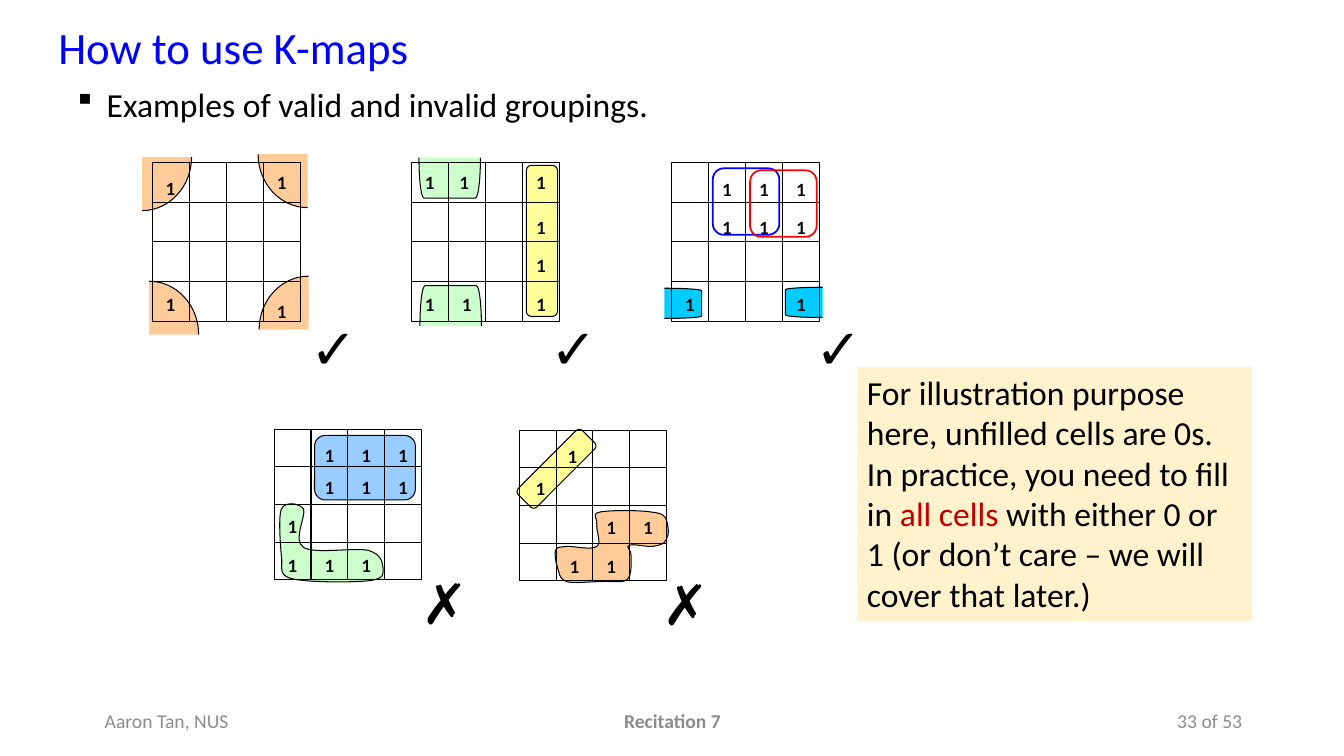
from copy import deepcopy

from lxml import etree
from pptx import Presentation
from pptx.dml.color import RGBColor
from pptx.enum import shapes, text
from pptx.oxml import ns
from pptx.util import Inches, Pt

COLORS = {
    "black": "000000", "blue": "0000FF", "red": "FF0000", "dark_red": "C00000",
    "gray": "8C8C8C", "cream": "FFF2CC", "yellow": "FFFF99", "green": "CCFFCC",
    "orange": "FFCC99", "sky": "99CCFF", "cyan": "00CCFF",
}
SHAPE = shapes.MSO_SHAPE
ALIGN = text.PP_ALIGN
CORNER_W, CORNER_H = 0.49, 0.53

ELBOW = [
    (3.67, 5.76), (3.52, 5.78), (3.04, 5.78), (2.89, 5.74), (2.75, 5.7), (2.81, 5.63),
    (2.79, 5.51), (2.78, 5.4), (2.76, 5.13), (2.79, 5.05), (2.83, 4.97), (2.97, 4.99),
    (3.01, 5.05), (3.04, 5.11), (2.9, 5.36), (3.01, 5.43), (3.11, 5.5), (3.52, 5.43),
    (3.65, 5.46), (3.79, 5.5), (3.79, 5.58), (3.8, 5.64), (3.8, 5.69), (3.82, 5.74),
    (3.67, 5.76),
]
ZIGZAG = [
    (6.46, 5.08), (6.35, 5.06), (6.04, 5.06), (5.95, 5.08), (5.86, 5.1), (5.93, 5.14),
    (5.92, 5.2), (5.91, 5.26), (5.97, 5.39), (5.92, 5.42), (5.87, 5.46), (5.7, 5.42),
    (5.63, 5.42), (5.56, 5.43), (5.53, 5.42), (5.51, 5.46), (5.5, 5.49), (5.51, 5.58),
    (5.53, 5.63), (5.55, 5.68), (5.54, 5.74), (5.62, 5.77), (5.69, 5.79), (5.85, 5.77),
    (5.95, 5.77), (6.05, 5.76), (6.17, 5.79), (6.22, 5.75), (6.27, 5.71), (6.26, 5.57),
    (6.26, 5.51), (6.26, 5.45), (6.2, 5.42), (6.24, 5.41), (6.28, 5.39), (6.42, 5.43),
    (6.48, 5.42), (6.54, 5.41), (6.59, 5.4), (6.61, 5.35), (6.64, 5.31), (6.63, 5.21),
    (6.61, 5.16), (6.6, 5.12), (6.57, 5.09), (6.46, 5.08),
]


def rgb(name):
    return RGBColor.from_string(COLORS[name])


def paint(sp, fill=None, line="black", width=0.75):
    sp.shadow.inherit = False
    if fill:
        sp.fill.solid()
        sp.fill.fore_color.rgb = rgb(fill)
    else:
        sp.fill.background()
    if line:
        sp.line.color.rgb = rgb(line)
        sp.line.width = Pt(width)
    else:
        sp.line.fill.background()
    return sp


def add_shape(s, kind, box, fill=None, line="black", width=0.75, adj=None, rotation=0):
    sp = s.shapes.add_shape(kind, *map(Inches, box))
    if adj is not None:
        sp.adjustments[0] = adj
    sp.rotation = rotation
    return paint(sp, fill, line, width)


def add_line(s, x1, y1, x2, y2):
    line = s.shapes.add_connector(shapes.MSO_CONNECTOR.STRAIGHT, *map(Inches, (x1, y1, x2, y2)))
    line.line.color.rgb = rgb("black")
    line.line.width = Pt(0.75)
    etree.SubElement(line._element.spPr, ns.qn("a:effectLst"))


def format_run(r, size, color, font="Calibri", bold=False):
    r.font.size = Pt(size)
    r.font.name = font
    r.font.bold = bold
    r.font.color.rgb = rgb(color)


def add_text(s, content, box, size, color="black", font="Calibri", bold=False,
             align=ALIGN.LEFT, anchor=text.MSO_ANCHOR.TOP):
    tf = s.shapes.add_textbox(*map(Inches, box)).text_frame
    tf.word_wrap = True
    tf.vertical_anchor = anchor
    tf.text = content
    p = tf.paragraphs[0]
    p.alignment = align
    format_run(p.runs[0], size, color, font, bold)
    return p


def add_bullet(p, char):
    pPr = p._p.get_or_add_pPr()
    pPr.set("marL", str(Inches(0.29)))
    pPr.set("indent", str(-Inches(0.29)))
    etree.SubElement(pPr, ns.qn("a:buFont")).set("typeface", "Wingdings")
    etree.SubElement(pPr, ns.qn("a:buChar")).set("char", char)


def add_curve(s, points, fill, corners=()):
    ends = [(Inches(x), Inches(y)) for x, y in [*points[::3], *corners]]
    builder = s.shapes.build_freeform(*ends[0])
    builder.add_line_segments(ends[1:], close=True)
    sp = paint(builder.convert_to_shape(), fill)
    path = sp._element.spPr.find(".//" + ns.qn("a:path"))
    segments = path.findall(ns.qn("a:lnTo"))
    for i, segment in zip(range(1, len(points), 3), segments):
        bend = etree.Element(ns.qn("a:cubicBezTo"))
        for x, y in points[i:i + 2]:
            pt = etree.SubElement(bend, ns.qn("a:pt"))
            pt.set("x", str(Inches(x) - sp.left))
            pt.set("y", str(Inches(y) - sp.top))
        bend.append(segment[0])
        path.replace(segment, bend)
    return path


def add_corner(s, x, y, x_dir, y_dir):
    w, h = x_dir * CORNER_W, y_dir * CORNER_H
    arc = [(x, y + h), (x + 0.55 * w, y + h), (x + w, y + 0.55 * h), (x + w, y)]
    sector = add_curve(s, arc, "orange", corners=[(x, y)])
    edge = deepcopy(sector)
    for part in edge[2:]:
        edge.remove(part)
    edge.set("fill", "none")
    sector.set("stroke", "0")
    sector.addprevious(edge)


def add_kmap(s, x, y, w, h, ones):
    add_shape(s, SHAPE.RECTANGLE, (x, y, w, h))
    for i in (1, 2, 3):
        add_line(s, x, y + i * h / 4, x + w, y + i * h / 4)
        add_line(s, x + i * w / 4, y, x + i * w / 4, y + h)
    for top, columns in ones:
        for column in columns:
            add_text(s, "1", (x + column * w / 4, top, 0.37, 0.3), 12, font="Lato",
                     bold=True, align=ALIGN.CENTER)


def add_mark(s, mark, x, y, w):
    add_text(s, mark, (x, y, w, 0.77), 40, font="Arial")


def add_valid_maps(s):
    w, h, y = 1.47, 1.58, 1.61
    for corner in ((3.06, 3.27, -1, -1), (1.48, 3.32, 1, -1),
                   (1.41, 1.56, 1, 1), (3.05, 1.53, -1, 1)):
        add_corner(s, *corner)
    add_kmap(s, 1.51, y, w, h, [(1.66, [3]), (1.72, [0]), (2.87, [0]), (2.94, [3])])

    add_shape(s, SHAPE.ROUNDED_RECTANGLE, (5.22, 1.64, 0.31, 1.5), "yellow", adj=0.167)
    for left, top, rotation in ((4.27, 2.73, 90), (4.26, 1.46, 270)):
        add_shape(s, SHAPE.LEFT_BRACKET, (left, top, 0.4, 0.61), "green", adj=0.125,
                  rotation=rotation)
    add_kmap(s, 4.08, y, w, h, [(1.66, [0, 0.93, 3]), (2.11, [3]), (2.49, [3]),
                                (2.87, [0, 1, 3])])

    for kind, left, top in ((SHAPE.LEFT_BRACKET, 7.79, 2.85), (SHAPE.RIGHT_BRACKET, 6.59, 2.86)):
        add_shape(s, kind, (left, top, 0.37, 0.3), "cyan", adj=0.083)
    add_kmap(s, 6.66, y, w, h, [(1.73, [1, 2, 3]), (2.11, [1, 2, 3]), (2.87, [0, 3])])
    for left, top, color in ((7.07, 1.67, "blue"), (7.44, 1.69, "red")):
        add_shape(s, SHAPE.ROUNDED_RECTANGLE, (left, top, 0.66, 0.66), line=color,
                  width=1.25, adj=0.167)

    for x in (2.98, 5.36, 7.99):
        add_mark(s, "✓", x, 3.06, 0.56)


def add_invalid_maps(s):
    w, h = 1.46, 1.49
    add_curve(s, ELBOW, "green")
    add_shape(s, SHAPE.ROUNDED_RECTANGLE, (3.12, 4.32, 1, 0.64), "sky", adj=0.167)
    add_kmap(s, 2.72, 4.26, w, h, [(4.37, [1, 2, 3]), (4.69, [1, 2, 3]), (5.08, [0]),
                                   (5.46, [0, 1, 2])])
    add_mark(s, "✗", 4.08, 5.59, 0.45)

    add_curve(s, ZIGZAG, "orange")
    add_shape(s, SHAPE.ROUNDED_RECTANGLE, (5.07, 4.52, 0.9, 0.26), "yellow", adj=0.167,
              rotation=315)
    add_kmap(s, 5.15, 4.27, w, h, [(4.38, [0.95]), (4.7, [0.08]), (5.09, [2, 3]),
                                   (5.47, [1, 2])])
    add_mark(s, "✗", 6.47, 5.6, 0.45)


def add_note(s):
    sp = add_shape(s, SHAPE.RECTANGLE, (8.5, 3.64, 3.92, 2.52), "cream", line=None)
    tf = sp.text_frame
    tf.word_wrap = True
    tf.vertical_anchor = text.MSO_ANCHOR.TOP
    p = tf.paragraphs[0]
    p.alignment = ALIGN.LEFT
    for content, color in (
        ("For illustration purpose here, unfilled cells are 0s. "
         "In practice, you need to fill in ", "black"),
        ("all cells ", "dark_red"),
        ("with either 0 or 1 (or don’t care – we will cover that later.)", "black"),
    ):
        r = p.add_run()
        r.text = content
        format_run(r, 24, color)


def add_footer(s):
    for content, left, width, align, bold in (
        ("Aaron Tan, NUS", 0.94, 3, ALIGN.LEFT, False),
        ("Recitation 7", 4.42, 4.5, ALIGN.CENTER, True),
        ("33 of 53", 9.42, 3, ALIGN.RIGHT, False),
    ):
        add_text(s, content, (left, 6.95, width, 0.4), 14, "gray", bold=bold, align=align,
                 anchor=text.MSO_ANCHOR.MIDDLE)


def main():
    prs = Presentation()
    prs.slide_width, prs.slide_height = Inches(13.33), Inches(7.5)
    s = prs.slides.add_slide(prs.slide_layouts[6])
    add_text(s, "How to use K-maps", (0.48, 0.15, 4.5, 0.76), 32, "blue")
    add_bullet(add_text(s, "Examples of valid and invalid groupings.", (0.67, 0.78, 6.2, 0.5), 24), "§")
    add_valid_maps(s)
    add_invalid_maps(s)
    add_note(s)
    add_footer(s)
    prs.save("out.pptx")


if __name__ == "__main__":
    main()
